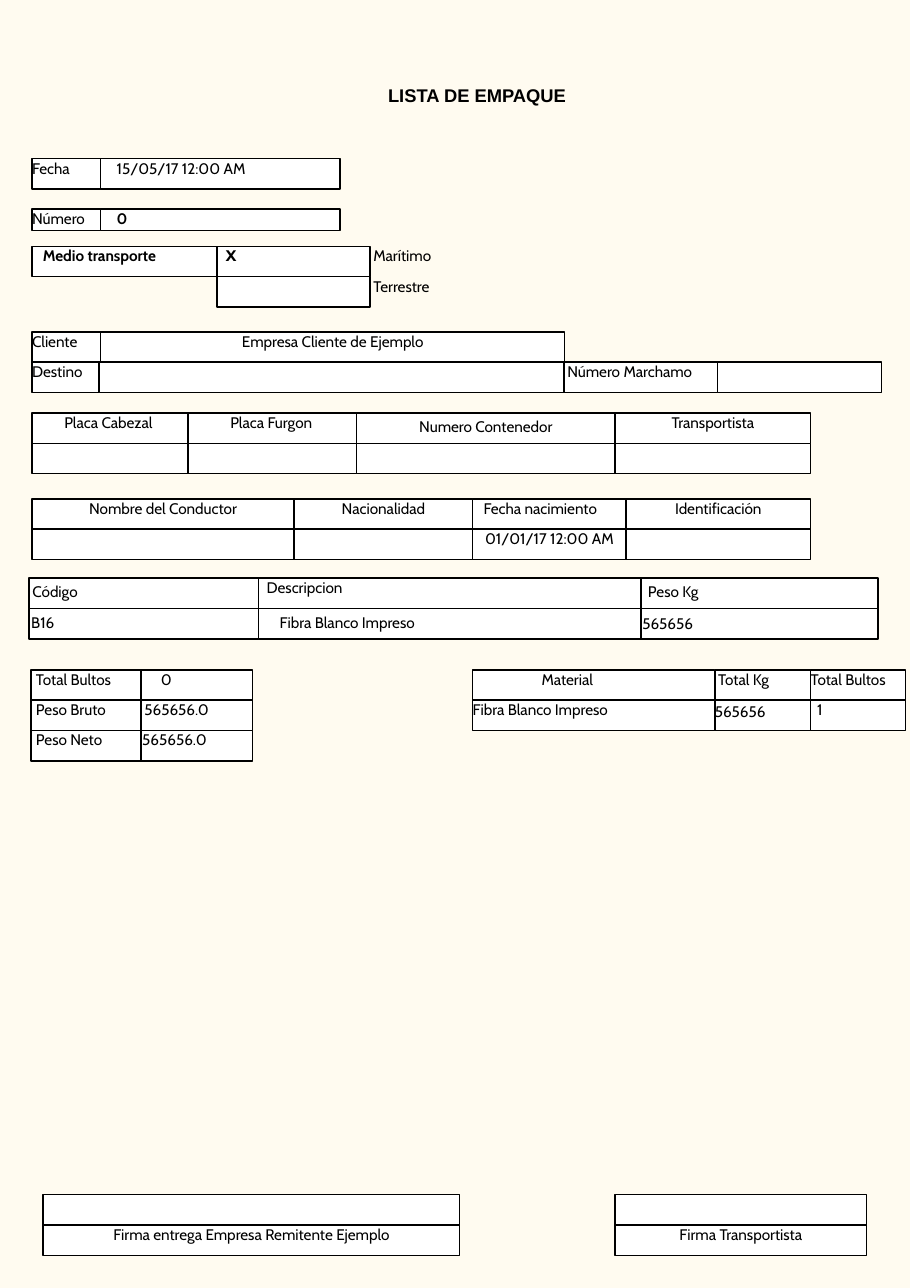
from dataclasses import dataclass, field
from itertools import pairwise
from typing import Optional

import pptx
import pptx.dml.color
import pptx.enum.shapes
import pptx.enum.text
import pptx.util

Align = pptx.enum.text.PP_ALIGN
Cm = pptx.util.Cm


@dataclass(frozen=True)
class Theme:
    ink: str = "000000"
    paper: str = "FFFFFF"
    background: str = "FFFBF0"
    title_font: str = "Arial"
    body_font: str = "Cabin"
    mark_font: str = "Montserrat"
    title_size: int = 12
    body_size: int = 10
    line_width: int = 1


THEME = Theme()


@dataclass(frozen=True)
class Cell:
    """One form cell; indent, drop and trim are text insets in cm."""
    text: str = ""
    align: Align = Align.LEFT
    indent: float = 0
    drop: float = 0
    trim: float = 0
    bold: bool = False
    framed: bool = True
    font: str = THEME.body_font


@dataclass(frozen=True)
class Grid:
    """Cells between the column edges, row by row; None leaves a gap."""
    top: float
    edges: list[float]
    rows: list[list[Optional[Cell]]] = field(default_factory=list)
    row_height: float = 0.7


def centred(text: str, drop: float = 0, trim: float = 0) -> Cell:
    return Cell(text, Align.CENTER, drop=drop, trim=trim)


def blanks(count: int) -> list[Cell]:
    return [Cell()] * count


LEFT = 0.74
LABEL_EDGE = 2.32
MIDDLE = 10.9
SIGN_EDGE = 14.18
RIGHT = 18.69
SIGN_TOP = 27.54

GRIDS = [
    # Date, number and means of transport
    Grid(3.66, [LEFT, LABEL_EDGE, 7.84],
         [[Cell("Fecha", Align.JUSTIFY), Cell("15/05/17 12:00 AM", indent=0.37)]]),
    Grid(4.82, [LEFT, LABEL_EDGE, 7.84],
         [[Cell("Número"), Cell("0", indent=0.37, bold=True)]], row_height=0.5),
    Grid(5.68, [LEFT, 5.0, 8.53, 10.34], [
        [Cell("Medio transporte", indent=0.25, bold=True),
         Cell("X", indent=0.2, bold=True, font=THEME.mark_font),
         Cell("Marítimo", indent=0.08, framed=False)],
        [None, Cell(), Cell("Terrestre", indent=0.08, framed=False)],
    ]),
    # Client and destination
    Grid(7.65, [LEFT, LABEL_EDGE, 13.02],
         [[Cell("Cliente"), centred("Empresa Cliente de Ejemplo")]]),
    Grid(8.35, [LEFT, 2.29, 13.0, 16.54, 20.32],
         [[Cell("Destino"), Cell(), Cell("Número Marchamo", indent=0.08), Cell()]]),
    # Vehicle and driver
    Grid(9.52, [LEFT, 4.34, 8.22, SIGN_EDGE, RIGHT], [
        [centred("Placa Cabezal", trim=0.08), centred("Placa Furgon", trim=0.05),
         centred("Numero Contenedor", drop=0.1), centred("Transportista")],
        blanks(4),
    ]),
    Grid(11.5, [LEFT, 6.78, MIDDLE, 14.43, RIGHT], [
        [centred("Nombre del Conductor"), centred("Nacionalidad"),
         Cell("Fecha nacimiento", indent=0.25), centred("Identificación")],
        [*blanks(2), centred("01/01/17 12:00 AM"), Cell()],
    ]),
    # Packed goods
    Grid(13.33, [0.67, 5.96, 14.78, 20.24], [
        [Cell("Código", indent=0.08, drop=0.1), Cell("Descripcion", indent=0.19),
         Cell("Peso Kg", indent=0.16, drop=0.1)],
        [Cell("B16", indent=0.05, drop=0.1),
         Cell("Fibra Blanco Impreso", indent=0.49, drop=0.1),
         Cell("565656", indent=0.03, drop=0.13)],
    ]),
    # Totals
    Grid(15.44, [MIDDLE, 16.48, RIGHT, 20.88], [
        [centred("Material", trim=1.22), Cell("Total Kg", indent=0.08),
         Cell("Total Bultos")],
        [Cell("Fibra Blanco Impreso"), Cell("565656", drop=0.05),
         Cell("1", indent=0.15)],
    ]),
    Grid(15.44, [0.71, 3.25, 5.82], [
        [Cell("Total Bultos", indent=0.12), Cell("0", indent=0.46)],
        [Cell("Peso Bruto", indent=0.12), Cell("565656.0", indent=0.08)],
        [Cell("Peso Neto", indent=0.12), Cell("565656.0", indent=0.03)],
    ]),
    # Signatures
    Grid(SIGN_TOP, [0.99, 10.6],
         [blanks(1), [centred("Firma entrega Empresa Remitente Ejemplo")]]),
    Grid(SIGN_TOP, [SIGN_EDGE, 19.98], [blanks(1), [centred("Firma Transportista")]]),
]


def colour(value: str) -> pptx.dml.color.RGBColor:
    return pptx.dml.color.RGBColor.from_string(value)


def apply(target: object, values: dict[str, object]) -> None:
    for name, value in values.items():
        setattr(target, name, value)


def write_text(shape, cell: Cell, size: int) -> None:
    frame = shape.text_frame
    apply(frame, {
        "margin_left": Cm(cell.indent), "margin_top": Cm(cell.drop),
        "margin_right": Cm(cell.trim), "margin_bottom": 0,
        "word_wrap": True,
        "auto_size": pptx.enum.text.MSO_AUTO_SIZE.NONE,
        "vertical_anchor": pptx.enum.text.MSO_ANCHOR.TOP,
    })
    if not cell.text:
        return
    paragraph = frame.paragraphs[0]
    paragraph.alignment = cell.align
    run = paragraph.add_run()
    run.text = cell.text
    apply(run.font, {"name": cell.font, "size": pptx.util.Pt(size), "bold": cell.bold})
    run.font.color.rgb = colour(THEME.ink)


def draw_cell(slide, cell: Cell, box: list[pptx.util.Length]) -> None:
    if cell.framed:
        shape = slide.shapes.add_shape(pptx.enum.shapes.MSO_SHAPE.RECTANGLE, *box)
        shape.shadow.inherit = False
        shape.fill.solid()
        shape.fill.fore_color.rgb = colour(THEME.paper)
        shape.line.color.rgb = colour(THEME.ink)
        shape.line.width = pptx.util.Pt(THEME.line_width)
    else:
        shape = slide.shapes.add_textbox(*box)
    write_text(shape, cell, THEME.body_size)


def draw_grid(slide, grid: Grid) -> None:
    for row_index, row in enumerate(grid.rows):
        top = grid.top + row_index * grid.row_height
        for cell, (left, right) in zip(row, pairwise(grid.edges)):
            if cell is not None:
                box = [Cm(value) for value in (left, top, right - left, grid.row_height)]
                draw_cell(slide, cell, box)


def main() -> None:
    presentation = pptx.Presentation()
    apply(presentation, {"slide_width": Cm(20.98), "slide_height": Cm(29.69)})
    slide = presentation.slides.add_slide(presentation.slide_layouts[5])
    slide.background.fill.solid()
    slide.background.fill.fore_color.rgb = colour(THEME.background)

    # Title
    title = slide.shapes.title
    apply(title, {"left": Cm(8.18), "top": Cm(1.93), "width": Cm(5.64), "height": Cm(0.7)})
    write_text(title, Cell("LISTA DE EMPAQUE", Align.CENTER, bold=True,
                           font=THEME.title_font), THEME.title_size)

    # Form
    for grid in GRIDS:
        draw_grid(slide, grid)
    presentation.save("out.pptx")


if __name__ == "__main__":
    main()
